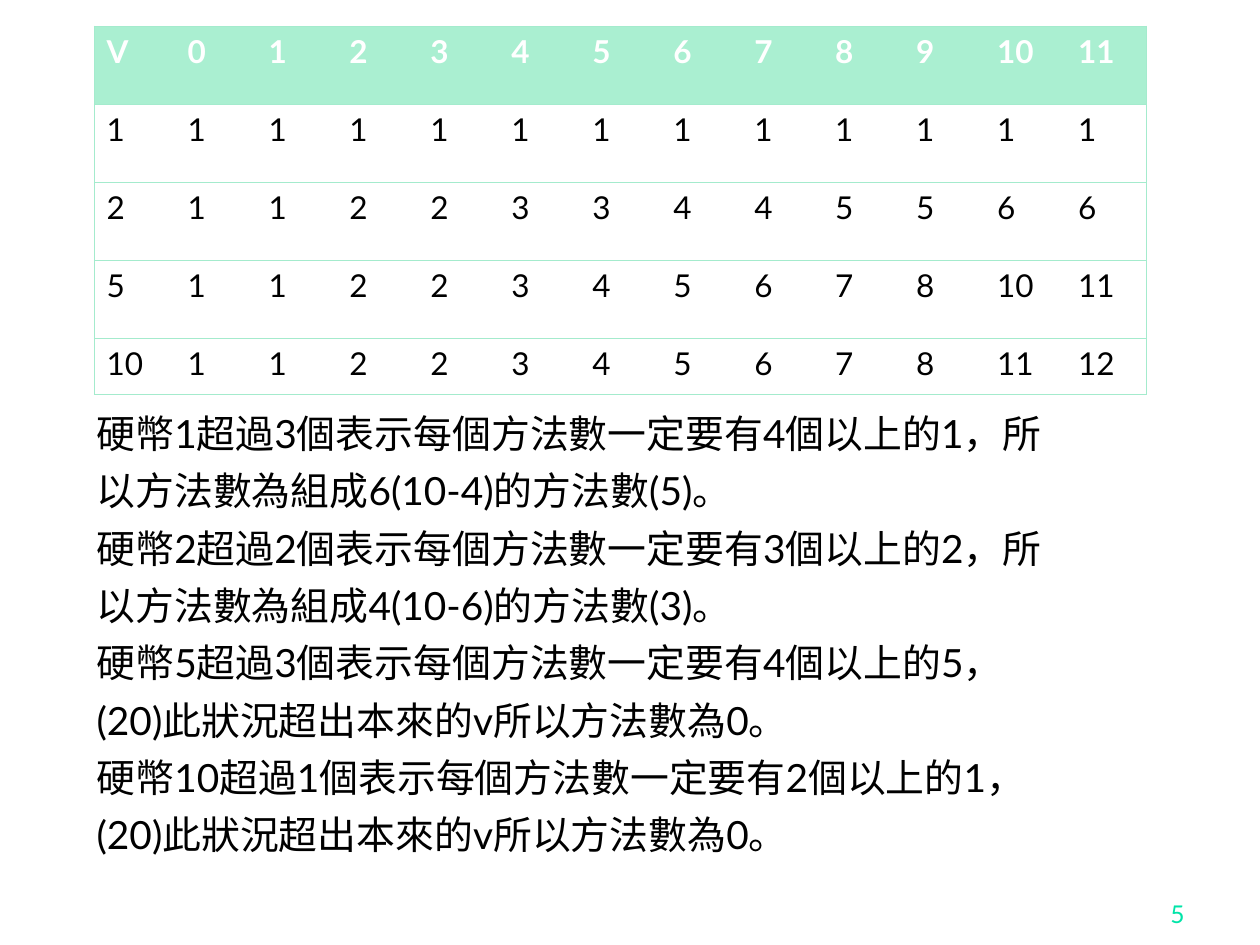
from lxml import etree
from pptx import Presentation
from pptx.dml.color import RGBColor
from pptx.enum.text import MSO_ANCHOR, MSO_AUTO_SIZE, PP_ALIGN
from pptx.oxml.ns import qn
from pptx.util import Emu, Pt

RIGHT = PP_ALIGN.RIGHT
BOTTOM = MSO_ANCHOR.BOTTOM
NO_AUTOFIT = MSO_AUTO_SIZE.NONE

FONT = "Lato"
BLACK = RGBColor(0x00, 0x00, 0x00)
WHITE = RGBColor(0xFF, 0xFF, 0xFF)
HEADER_GREEN = RGBColor(0xAA, 0xEF, 0xD1)
RULE_GREEN = RGBColor(0xA4, 0xEB, 0xCD)
NUMBER_GREEN = RGBColor(0x00, 0xE4, 0xA8)
PLAIN_TABLE_STYLE = "{2D5ABB26-0587-4C30-8999-92F81FD0307C}"

COIN_WAYS = [
    ["V", 0, 1, 2, 3, 4, 5, 6, 7, 8, 9, 10, 11],
    [1, 1, 1, 1, 1, 1, 1, 1, 1, 1, 1, 1, 1],
    [2, 1, 1, 2, 2, 3, 3, 4, 4, 5, 5, 6, 6],
    [5, 1, 1, 2, 2, 3, 4, 5, 6, 7, 8, 10, 11],
    [10, 1, 1, 2, 2, 3, 4, 5, 6, 7, 8, 11, 12],
]
ROW_HEIGHTS = [78, 78, 78, 78, 56]
COLUMN_WIDTH = 81
EXPLANATION = [
    "硬幣1超過3個表示每個方法數一定要有4個以上的1，所",
    "以方法數為組成6(10-4)的方法數(5)。",
    "硬幣2超過2個表示每個方法數一定要有3個以上的2，所",
    "以方法數為組成4(10-6)的方法數(3)。",
    "硬幣5超過3個表示每個方法數一定要有4個以上的5，",
    "(20)此狀況超出本來的v所以方法數為0。",
    "硬幣10超過1個表示每個方法數一定要有2個以上的1，",
    "(20)此狀況超出本來的v所以方法數為0。",
]


def px(length):
    """Turn slide pixels, 126 to the inch, into EMU."""
    return Emu(round(length * 914400 / 126))


def style_runs(paragraph, size, color, bold=False):
    for run in paragraph.runs:
        run.font.name = FONT
        run.font.size = Pt(size)
        run.font.bold = bold
        run.font.color.rgb = color


prs = Presentation()
prs.slide_width, prs.slide_height = px(1260), px(945)
slide = prs.slides.add_slide(prs.slide_layouts[1])
unused_title = slide.shapes.title.element
unused_title.getparent().remove(unused_title)

# Explanation of each coin
explanation = slide.placeholders[1]
explanation.left, explanation.top = px(84), px(403)
explanation.width, explanation.height = px(1071), px(665)
explanation_frame = explanation.text_frame
explanation_frame.auto_size = NO_AUTOFIT
explanation_frame.text = "\n".join(EXPLANATION)
for index, line in enumerate(explanation_frame.paragraphs):
    properties = line._p.get_or_add_pPr()
    properties.set("marL", str(px(48)))
    properties.set("indent", str(px(-48)))
    etree.SubElement(properties, qn("a:buNone"))
    line.line_spacing = Pt(26.75)
    line.space_before = Pt(6 if index else 0)
    style_runs(line, 22.2, BLACK)

# Page number
page_number = slide.shapes.add_textbox(px(935), px(872), px(262), px(63))
page_number.text_frame.word_wrap = True
page_number.text_frame.vertical_anchor = BOTTOM
page_number.text_frame.text = "5"
page_number.text_frame.paragraphs[0].alignment = RIGHT
style_runs(page_number.text_frame.paragraphs[0], 14, NUMBER_GREEN)

# Number of ways for each coin and amount
row_count, column_count = len(COIN_WAYS), len(COIN_WAYS[0])
ways_frame = slide.shapes.add_table(
    row_count, column_count, px(94), px(26),
    px(COLUMN_WIDTH * column_count), px(sum(ROW_HEIGHTS)))
ways = ways_frame.table
ways.horz_banding = False
ways._tbl.tblPr.find(qn("a:tableStyleId")).text = PLAIN_TABLE_STYLE
for column in ways.columns:
    column.width = px(COLUMN_WIDTH)

for r, values in enumerate(COIN_WAYS):
    ways.rows[r].height = px(ROW_HEIGHTS[r])
    for c, value in enumerate(values):
        cell = ways.cell(r, c)
        cell.text = str(value)
        is_header = r == 0
        style_runs(cell.text_frame.paragraphs[0], 18,
                   WHITE if is_header else BLACK, is_header)
        if is_header:
            cell.fill.solid()
            cell.fill.fore_color.rgb = HEADER_GREEN
        else:
            cell.fill.background()

        sides = ["lnT", "lnB"]
        if c == 0:
            sides.insert(0, "lnL")
        if c == column_count - 1:
            sides.insert(0, "lnR")
        cell_properties = cell._tc.get_or_add_tcPr()
        for position, side in enumerate(sides):
            border = etree.Element(qn(f"a:{side}"), w=str(Pt(0.34)))
            border_fill = etree.SubElement(border, qn("a:solidFill"))
            etree.SubElement(border_fill, qn("a:srgbClr"), val=str(RULE_GREEN))
            cell_properties.insert(position, border)

prs.save("out.pptx")
